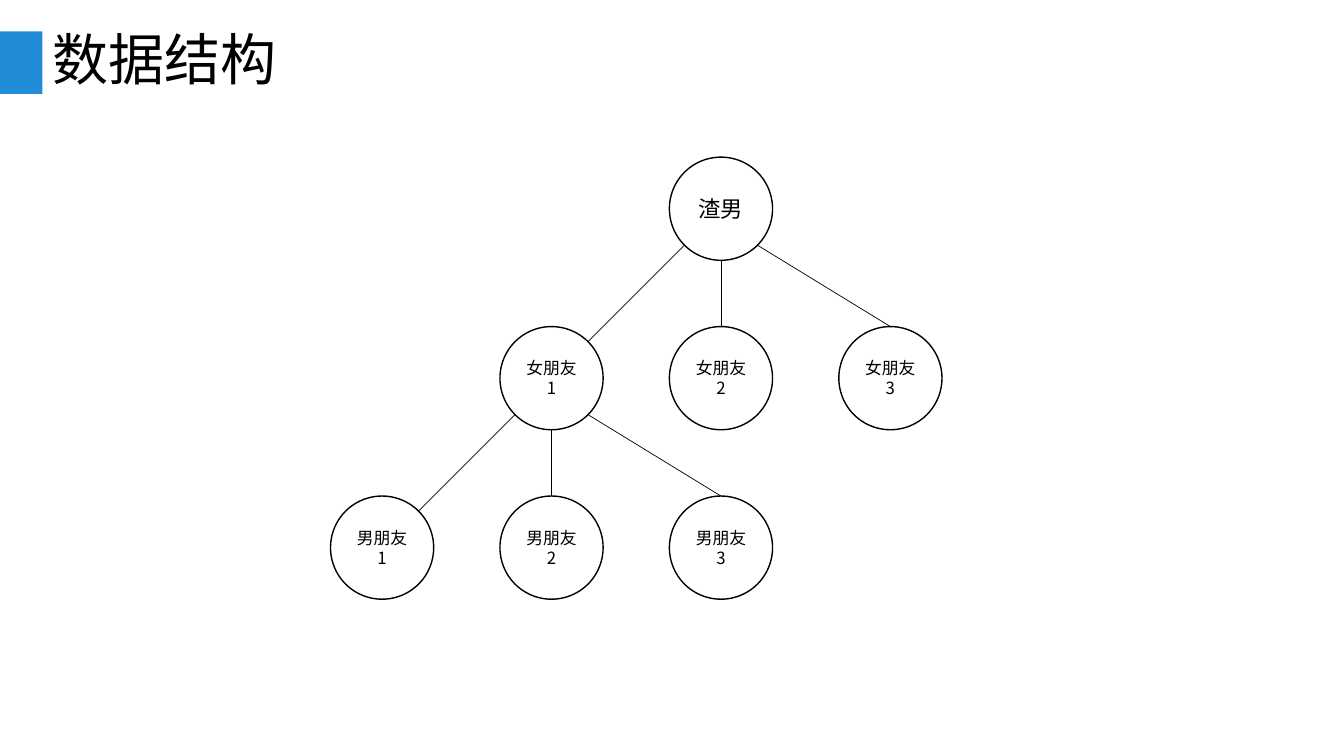
import math

from lxml import etree
from pptx import Presentation
from pptx import util as u
from pptx.dml.color import RGBColor
from pptx.enum import shapes, text
from pptx.oxml import ns

BLACK = RGBColor(0x00, 0x00, 0x00)
WHITE = RGBColor(0xFF, 0xFF, 0xFF)
BLUE = RGBColor(0x21, 0x8D, 0xD6)
FONT = "Noto Sans CJK SC"

DIAMETER = 2.6
STEP = 4.27
TREE_LEFT, TREE_TOP = 8.33, 3.96

ROOT = "渣男"
NODES = {
    ROOT: (2, 0, 16),
    "女朋友1": (1, 1, 12),
    "女朋友2": (2, 1, 12),
    "女朋友3": (3, 1, 12),
    "男朋友1": (0, 2, 12),
    "男朋友2": (1, 2, 12),
    "男朋友3": (2, 2, 12),
}
CHILDREN = {
    ROOT: ("女朋友1", "女朋友2", "女朋友3"),
    "女朋友1": ("男朋友1", "男朋友2", "男朋友3"),
}
BRANCH_ANGLES = ((135, -45), (90, -90), (45, -90))


def apply_format(target, values):
    for name, value in values.items():
        setattr(target, name, value)


def write_text(shape, wording, size, paragraph_format):
    frame = shape.text_frame
    apply_format(frame, {"word_wrap": True, "vertical_anchor": text.MSO_ANCHOR.MIDDLE})
    paragraph = frame.paragraphs[0]
    apply_format(paragraph, paragraph_format)
    run = paragraph.add_run()
    run.text = wording
    apply_format(run.font, {"name": FONT, "size": u.Pt(size)})
    run.font.color.rgb = BLACK
    east_asian = etree.SubElement(run.font._element, ns.qn("a:ea"))
    east_asian.set("typeface", FONT)


def add_filled(slide, kind, box, color):
    shape = slide.shapes.add_shape(kind, *map(u.Cm, box))
    shape.shadow.inherit = False
    shape.fill.solid()
    shape.fill.fore_color.rgb = color
    shape.line.fill.background()
    return shape


def add_title(slide, wording):
    add_filled(slide, shapes.MSO_SHAPE.RECTANGLE, (0, 0.79, 1.07, 1.58), BLUE)
    title = slide.shapes.add_textbox(*map(u.Cm, (1.07, 0.76, 31.75, 1.63)))
    write_text(title, wording, 40, {"line_spacing": 0.9})


def add_node(slide, wording, column, row, size):
    box = (TREE_LEFT + column * STEP, TREE_TOP + row * STEP, DIAMETER, DIAMETER)
    circle = add_filled(slide, shapes.MSO_SHAPE.OVAL, box, WHITE)
    circle.line.color.rgb = BLACK
    circle.line.width = u.Pt(1)
    write_text(circle, wording, size, {"alignment": text.PP_ALIGN.CENTER})


def rim_point(name, degrees):
    column, row, _ = NODES[name]
    radius, angle = DIAMETER / 2, math.radians(degrees)
    return (
        u.Cm(TREE_LEFT + column * STEP + radius * (1 + math.cos(angle))),
        u.Cm(TREE_TOP + row * STEP + radius * (1 + math.sin(angle))),
    )


def add_branch(slide, parent, child, angles):
    start, end = rim_point(parent, angles[0]), rim_point(child, angles[1])
    branch = slide.shapes.add_connector(shapes.MSO_CONNECTOR.STRAIGHT, *start, *end)
    branch.line.color.rgb = BLACK
    branch.line.width = u.Pt(0.5)
    etree.SubElement(branch._element.spPr, ns.qn("a:effectLst"))


def main():
    presentation = Presentation()
    apply_format(presentation, {"slide_width": u.Cm(33.87), "slide_height": u.Cm(19.05)})
    slide = presentation.slides.add_slide(presentation.slide_layouts[6])
    add_title(slide, "数据结构")
    for name, placement in NODES.items():
        add_node(slide, name, *placement)
    for parent, children in CHILDREN.items():
        for child, angles in zip(children, BRANCH_ANGLES):
            add_branch(slide, parent, child, angles)
    presentation.save("out.pptx")


main()
